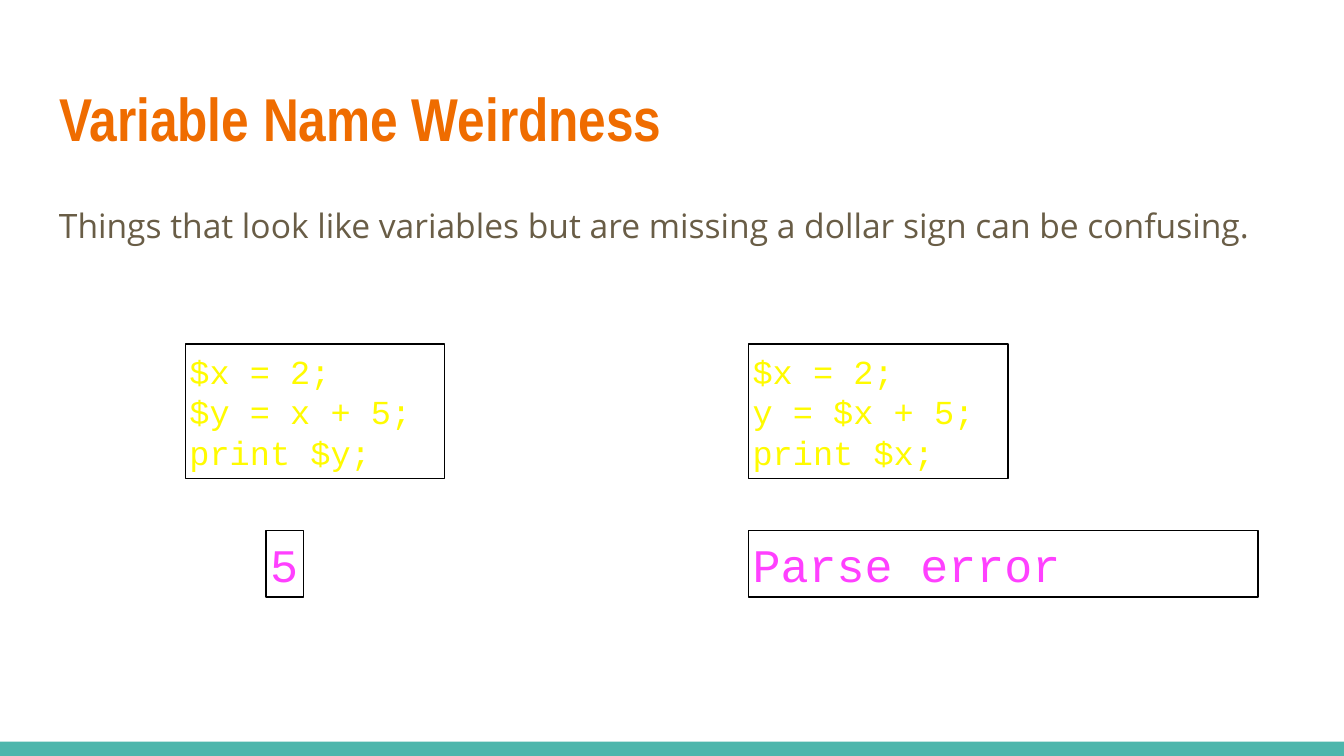
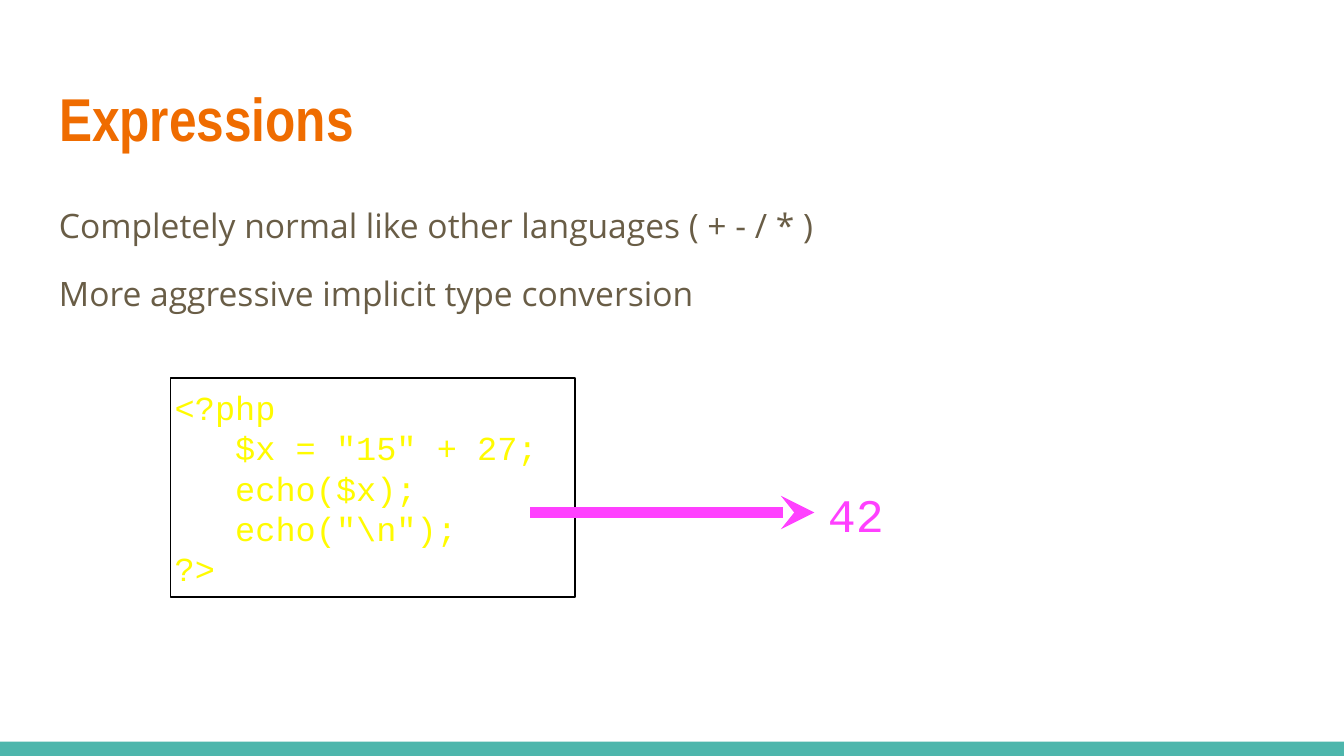
import dataclasses

import pptx
import pptx.dml.color
import pptx.enum.shapes
import pptx.enum.text
import pptx.oxml.ns
import pptx.util
from lxml import etree

ANCHOR = pptx.enum.text.MSO_ANCHOR
RECTANGLE = pptx.enum.shapes.MSO_SHAPE.RECTANGLE


@dataclasses.dataclass(frozen=True)
class Theme:
    background: str = "FFFFFF"
    band: str = "4DB6AC"
    title: str = "EF6C00"
    body: str = "695D46"
    code: str = "FFFB00"
    result: str = "FF40FF"
    frame: str = "000000"
    title_font: str = "Arial Narrow"
    body_font: str = "Open Sans"
    code_font: str = "Courier New"
    title_size: float = 32.4
    text_size: float = 18
    result_size: float = 25
    frame_width: float = 0.75
    arrow_width: float = 6


THEME = Theme()
WIDTH = pptx.util.Inches(10)
HEIGHT = pptx.util.Inches(5.625)

# Places in percent of the slide's size
MARGIN, CONTENT = 3.4, 93.2
CODE_LEFT, CODE_RIGHT = 13.8, 55.7
CODE_TOP, RESULT_TOP, RESULT_HEIGHT = 45.5, 70.2, 8.8


def across(share):
    return round(WIDTH * share / 100)


def down(share):
    return round(HEIGHT * share / 100)


def area(left, top, width, height):
    return across(left), down(top), across(width), down(height)


def color(value):
    return pptx.dml.color.RGBColor.from_string(value)


# Text
def write_text(shape, lines, *, font, size, tint, bold=False, inset=0.1,
               anchor=ANCHOR.TOP, line_spacing=1.0, gap=0):
    frame = shape.text_frame
    frame.word_wrap = True
    frame.auto_size = pptx.enum.text.MSO_AUTO_SIZE.NONE
    frame.vertical_anchor = anchor
    for side in ("left", "top", "right", "bottom"):
        setattr(frame, f"margin_{side}", pptx.util.Inches(inset))
    for index, line in enumerate(lines):
        para = frame.add_paragraph() if index else frame.paragraphs[0]
        para.alignment = pptx.enum.text.PP_ALIGN.LEFT
        para.line_spacing = line_spacing
        if index and gap:
            para.space_before = pptx.util.Pt(gap)
        span = para.add_run()
        span.text = line
        span.font.name = font
        span.font.size = pptx.util.Pt(size)
        span.font.bold = bold
        span.font.color.rgb = color(tint)


# Shapes
def add_rectangle(page, place, *, fill=None, outline=None):
    box = page.shapes.add_shape(RECTANGLE, *area(*place))
    box.shadow.inherit = False
    if fill:
        box.fill.solid()
        box.fill.fore_color.rgb = color(fill)
    else:
        box.fill.background()
    if outline:
        box.line.color.rgb = color(outline)
        box.line.width = pptx.util.Pt(THEME.frame_width)
    else:
        box.line.fill.background()
    return box


def add_code(page, place, lines):
    box = add_rectangle(page, place, outline=THEME.frame)
    write_text(box, lines, font=THEME.code_font, size=THEME.text_size,
               tint=THEME.code, inset=0.03, anchor=ANCHOR.MIDDLE)


def add_result(page, left, top, width, text, outline=None):
    box = add_rectangle(page, (left, top, width, RESULT_HEIGHT), outline=outline)
    write_text(box, [text], font=THEME.code_font, size=THEME.result_size,
               tint=THEME.result, inset=0.03, anchor=ANCHOR.MIDDLE)


def add_arrow(page, tip, tail, top):
    arrow = page.shapes.add_connector(
        pptx.enum.shapes.MSO_CONNECTOR.STRAIGHT,
        across(tip), down(top), across(tail), down(top))
    arrow.line.color.rgb = color(THEME.result)
    arrow.line.width = pptx.util.Pt(THEME.arrow_width)
    qualified = pptx.oxml.ns.qn
    etree.SubElement(arrow.line._get_or_add_ln(), qualified("a:headEnd"), type="stealth")
    etree.SubElement(arrow._element.spPr, qualified("a:effectLst"))


# Everything the slides share: background, band, title and body text
def add_page(deck, title, body):
    page = deck.slides.add_slide(deck.slide_layouts.get_by_name("Title Only"))
    page.background.fill.solid()
    page.background.fill.fore_color.rgb = color(THEME.background)
    add_rectangle(page, (0, 98.1, 100, 1.9), fill=THEME.band)

    heading = page.shapes.title
    heading.left, heading.top, heading.width, heading.height = area(
        MARGIN, 8.7, CONTENT, 13.7)
    write_text(heading, [title], font=THEME.title_font, size=THEME.title_size,
               tint=THEME.title, bold=True, anchor=ANCHOR.MIDDLE)

    box = page.shapes.add_textbox(*area(MARGIN, 24.5, CONTENT, 64.2))
    write_text(box, body, font=THEME.body_font, size=THEME.text_size,
               tint=THEME.body, line_spacing=1.15, gap=12)
    return page


def add_variable_names(deck):
    page = add_page(deck, "Variable Name Weirdness", [
        "Things that look like variables but are missing a dollar sign can be confusing."])
    samples = (
        (CODE_LEFT, ["$x = 2;", "$y = x + 5;", "print $y;"]),
        (CODE_RIGHT, ["$x = 2;", "y = $x + 5;", "print $x;"]),
    )
    for left, lines in samples:
        add_code(page, (left, CODE_TOP, 19.3, 17.8), lines)
    add_result(page, 19.8, RESULT_TOP, 2.8, "5", THEME.frame)
    add_result(page, CODE_RIGHT, RESULT_TOP, 37.9, "Parse error", THEME.frame)


def add_expressions(deck):
    page = add_page(deck, "Expressions", [
        "Completely normal like other languages ( + - / * )",
        "More aggressive implicit type conversion"])
    add_code(page, (12.7, 50, 30.1, 29), [
        "<?php",
        '   $x = "15" + 27;',
        "   echo($x);",
        r'   echo("\n");',
        "?>"])
    add_arrow(page, tip=60.6, tail=39.4, top=67.8)
    add_result(page, 61.3, 63.5, 5, "42")


def main():
    deck = pptx.Presentation()
    deck.slide_width, deck.slide_height = WIDTH, HEIGHT
    add_variable_names(deck)
    add_expressions(deck)
    deck.save("out.pptx")


if __name__ == "__main__":
    main()
